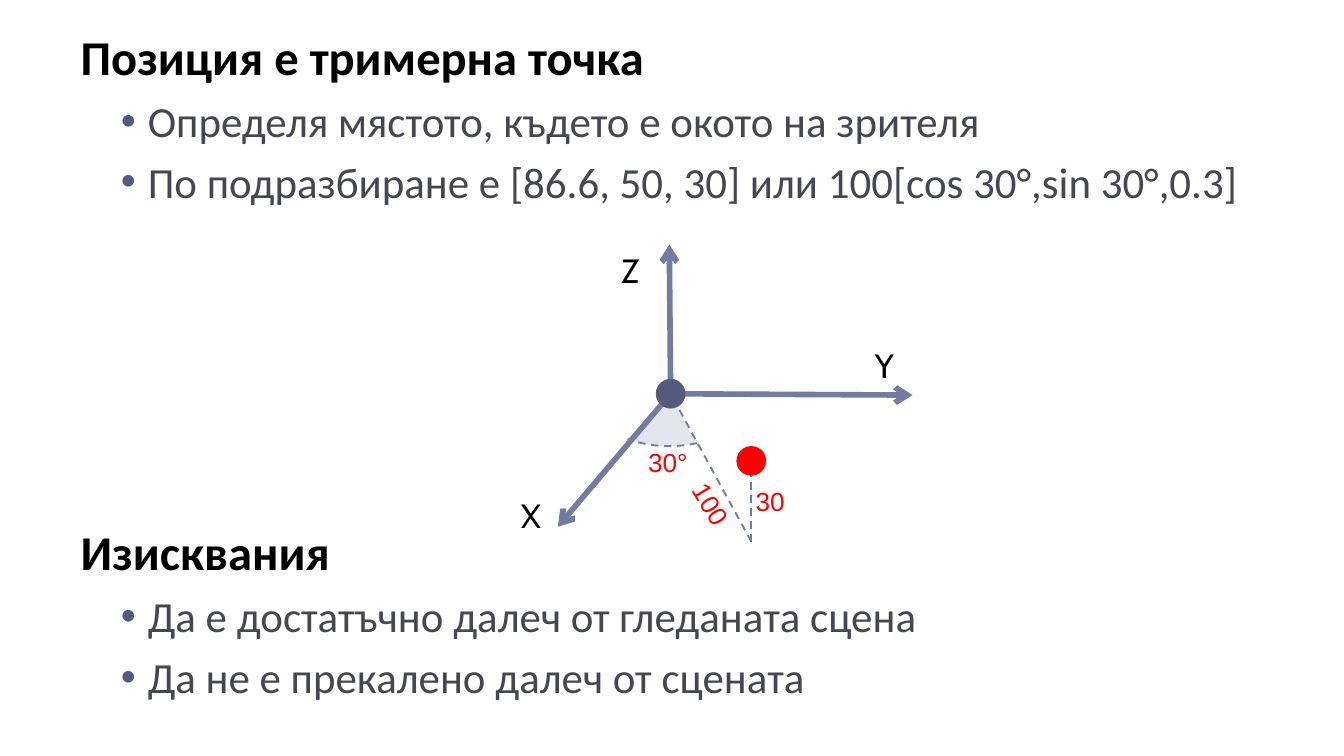
from pptx import Presentation
from pptx.dml.color import RGBColor
from pptx.enum.dml import MSO_LINE_DASH_STYLE as Dash
from pptx.enum.shapes import MSO_CONNECTOR as Connector, MSO_SHAPE as Shape
from pptx.enum.text import MSO_ANCHOR as Anchor, MSO_AUTO_SIZE as AutoSize, PP_ALIGN as Align
from pptx.oxml import parse_xml
from pptx.oxml.ns import nsdecls
from pptx.util import Inches, Pt

BLACK = RGBColor(0x00, 0x00, 0x00)
RED = RGBColor(0xFF, 0x00, 0x00)
BODY_GREY = RGBColor(0x46, 0x46, 0x53)
AXIS_BLUE = RGBColor(0x72, 0x7C, 0xA3)
DARK_BLUE = RGBColor(0x52, 0x5B, 0x7E)
DARK_OUTLINE = RGBColor(0x54, 0x5C, 0x79)
SECTOR_FILL = RGBColor(0xE3, 0xE5, 0xED)

HEADING_FONT = {"name": "Calibri", "size": Pt(26), "bold": True}
BULLET_FONT = {"name": "Calibri", "size": Pt(23), "bold": False}
AXIS_FONT = {"name": "Cabin", "size": Pt(18)}
MEASURE_FONT = {"name": "Arial", "size": Pt(14)}

# Heading, space before it in points, bullets below it
SECTIONS = [
    ("Позиция е тримерна точка", 6, [
        "Определя мястото, където е окото на зрителя",
        "По подразбиране е [86.6, 50, 30] или 100[cos 30°,sin 30°,0.3]",
    ]),
    ("Изисквания", 169, [
        "Да е достатъчно далеч от гледаната сцена",
        "Да не е прекалено далеч от сцената",
    ]),
]

ORIGIN = (4.99, 2.93)
VIEWER = (5.59, 3.43)
GROUND = (5.59, 4.03)
AXIS_ENDS = [(4.98, 1.82), (6.79, 2.94), (4.15, 3.92)]

# Text, centre, box width, font, colour, rotation
LABELS = [
    ("Y", (6.58, 2.72), 0.4, AXIS_FONT, BLACK, 0),
    ("Z", (4.69, 2.01), 0.4, AXIS_FONT, BLACK, 0),
    ("X", (3.95, 3.83), 0.4, AXIS_FONT, BLACK, 0),
    ("30°", (4.97, 3.44), 0.75, MEASURE_FONT, RED, 0),
    ("100", (5.29, 3.75), 0.75, MEASURE_FONT, RED, 58.8),
    ("30", (5.73, 3.73), 0.75, MEASURE_FONT, RED, 0),
]


def set_font(font, values, color):
    for name, value in values.items():
        setattr(font, name, value)
    font.color.rgb = color


def set_bullet(paragraph, left=0.0, hanging=0.0, bullet=False):
    properties = paragraph._p.get_or_add_pPr()
    properties.set("marL", str(Inches(left)))
    properties.set("indent", str(Inches(-hanging)))
    if not bullet:
        properties.append(parse_xml(f"<a:buNone {nsdecls('a')}/>"))
        return
    for xml in (
        f'<a:buClr {nsdecls("a")}><a:srgbClr val="{DARK_BLUE}"/></a:buClr>',
        f'<a:buFont {nsdecls("a")} typeface="Arial"/>',
        f'<a:buChar {nsdecls("a")} char="•"/>',
    ):
        properties.append(parse_xml(xml))


def add_paragraph(frame, text, space, font, color):
    first = frame.paragraphs[0]
    paragraph = frame.add_paragraph() if first.runs else first
    paragraph.space_before = Pt(space)
    run = paragraph.add_run()
    run.text = text
    set_font(run.font, font, color)
    return paragraph


def fill_body(body):
    body.left, body.top = Inches(0.5), Inches(0.15)
    body.width, body.height = Inches(9.33), Inches(5.42)
    frame = body.text_frame
    frame.word_wrap = True
    frame.auto_size = AutoSize.NONE
    frame.vertical_anchor = Anchor.TOP
    for heading, space, bullets in SECTIONS:
        set_bullet(add_paragraph(frame, heading, space, HEADING_FONT, BLACK))
        for text in bullets:
            paragraph = add_paragraph(frame, text, 5, BULLET_FONT, BODY_GREY)
            paragraph.level = 1
            set_bullet(paragraph, 0.5, 0.2, bullet=True)


def add_line(slide, start, end, width, dashed=False, arrow=False):
    points = [Inches(value) for value in (*start, *end)]
    connector = slide.shapes.add_connector(Connector.STRAIGHT, *points)
    connector.line.color.rgb = AXIS_BLUE
    connector.line.width = Pt(width)
    if dashed:
        connector.line.dash_style = Dash.DASH
    if arrow:
        connector.line._get_or_add_ln().append(
            parse_xml(f'<a:tailEnd {nsdecls("a")} type="arrow"/>'))
    connector._element.spPr.append(parse_xml(f"<a:effectLst {nsdecls('a')}/>"))


def add_centred_shape(slide, kind, centre, width, height, fill, outline, weight):
    shape = slide.shapes.add_shape(
        kind, Inches(centre[0] - width / 2), Inches(centre[1] - height / 2),
        Inches(width), Inches(height))
    shape.shadow.inherit = False
    shape.fill.solid()
    shape.fill.fore_color.rgb = fill
    shape.line.color.rgb = outline
    shape.line.width = Pt(weight)
    return shape


def add_angle_sector(slide):
    sector = add_centred_shape(
        slide, Shape.ARC, (4.98, 2.94), 1.22, 0.76, SECTOR_FILL, AXIS_BLUE, 1)
    sector.line.dash_style = Dash.DASH
    # Angles count in 60000ths of a degree, adjustments in 100000ths
    for index, degrees in enumerate((60.05, 133.42)):
        sector.adjustments[index] = degrees * 0.6


def add_label(slide, text, centre, width, font, color, rotation):
    height = 0.4
    box = slide.shapes.add_textbox(
        Inches(centre[0] - width / 2), Inches(centre[1] - height / 2),
        Inches(width), Inches(height))
    box.rotation = rotation
    frame = box.text_frame
    frame.word_wrap = True
    frame.vertical_anchor = Anchor.MIDDLE
    for side in ("left", "right", "top", "bottom"):
        setattr(frame, f"margin_{side}", 0)
    add_paragraph(frame, text, 0, font, color).alignment = Align.CENTER


def main():
    presentation = Presentation()
    # Widescreen, 16:9
    presentation.slide_width = Inches(10)
    presentation.slide_height = Inches(10 * 9 / 16)
    slide = presentation.slides.add_slide(presentation.slide_layouts[1])

    # Body text; this slide has no title
    title = slide.shapes.title._element
    title.getparent().remove(title)
    fill_body(slide.placeholders[1])

    # Angle, axes and projection of the viewer
    add_angle_sector(slide)
    for end in AXIS_ENDS:
        add_line(slide, ORIGIN, end, 3, arrow=True)
    for start in (ORIGIN, VIEWER):
        add_line(slide, GROUND, start, 1, dashed=True)

    # Labels and points
    for label in LABELS:
        add_label(slide, *label)
    for centre, fill, outline in ((VIEWER, RED, RED), (ORIGIN, DARK_BLUE, DARK_OUTLINE)):
        add_centred_shape(slide, Shape.OVAL, centre, 0.2, 0.2, fill, outline, 1.5)

    presentation.save("out.pptx")


if __name__ == "__main__":
    main()
